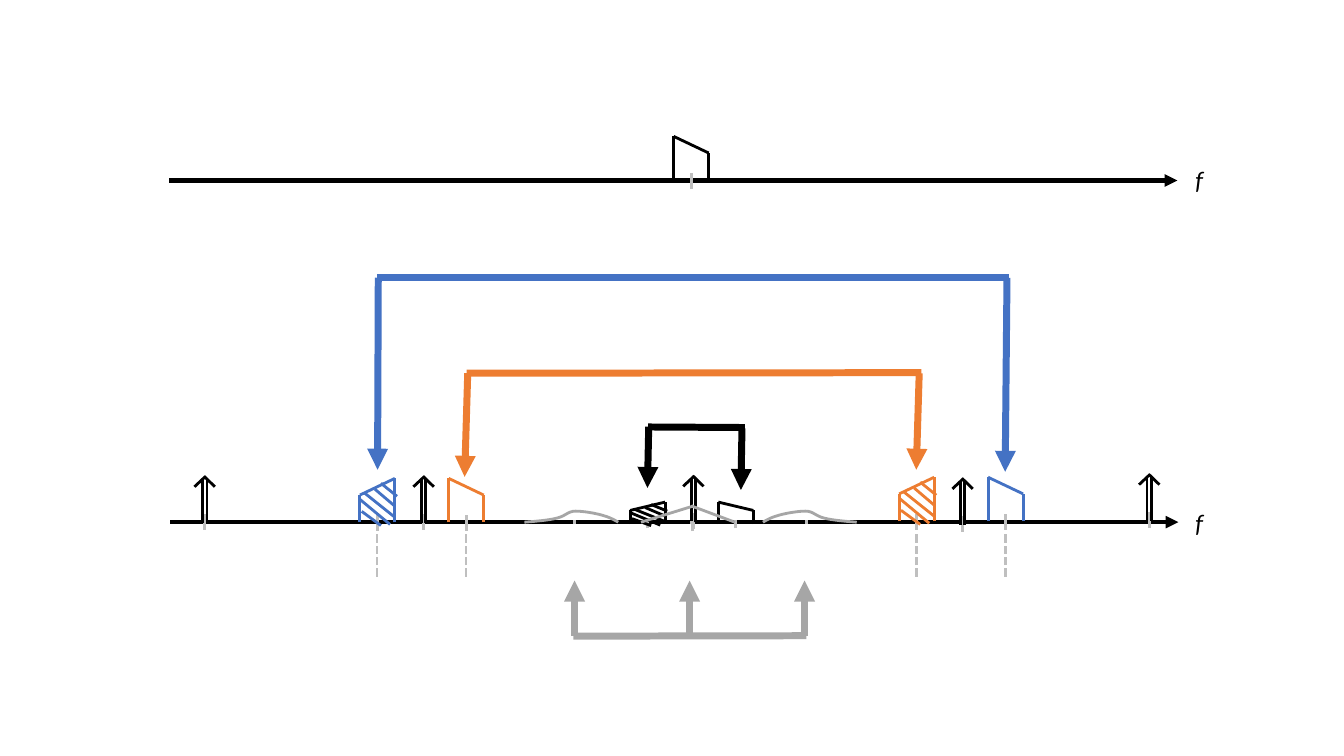
import itertools
from typing import NamedTuple

import lxml.etree
import pptx
import pptx.dml.color
import pptx.enum.dml
import pptx.enum.shapes
import pptx.oxml.ns
import pptx.util

Pt = pptx.util.Pt
RGBColor = pptx.dml.color.RGBColor
BLACK = RGBColor(0x00, 0x00, 0x00)
BLUE = RGBColor(0x44, 0x72, 0xC4)
ORANGE = RGBColor(0xED, 0x7D, 0x31)
GREY = RGBColor(0xA6, 0xA6, 0xA6)
LIGHT_GREY = RGBColor(0xBF, 0xBF, 0xBF)

Points = tuple[float, float, float, float]


class Axis(NamedTuple):
    left: float
    y: float
    label_top: float


class Carrier(NamedTuple):
    x: float
    base: float


class Band(NamedTuple):
    x: float
    base: float
    color: RGBColor
    scale: float = 1
    mirrored: bool = False


class Bracket(NamedTuple):
    color: RGBColor
    bar: Points
    arrows: list[Points]


class Hump(NamedTuple):
    start: float
    direction: int
    tick: float


AXIS_LENGTH = 720
BASE = 373
AXES = [Axis(121.7, BASE, 358.6), Axis(121, 128.9, 113.8)]
CARRIERS = [
    Carrier(146.2, 373.5),
    Carrier(302.6, 373.5),
    Carrier(495.3, 373.2),
    Carrier(687.6, 375),
    Carrier(820.9, 372),
]
CARRIER_STROKES = [
    (-1.6, 0, -1.6, -31.6),
    (1.6, 0, 1.6, -31.6),
    (-7.3, -25.8, 0.6, -33.2),
    (7.3, -25.8, -0.3, -33.2),
]
BANDS = [
    Band(493.7, 128.9, BLACK),
    Band(525.6, 374.4, BLACK, 0.5),
    Band(462.6, 374.4, BLACK, 0.5, True),
    Band(718.3, 372.4, BLUE),
    Band(654.8, 372.4, ORANGE, 1, True),
    Band(333, 373.2, ORANGE),
    Band(269.6, 373.2, BLUE, 1, True),
]
HALF_BAND = 12.5
BAND_STROKES = [
    (-HALF_BAND, 0, -HALF_BAND, -31.5),
    (HALF_BAND, 0, HALF_BAND, -19.6),
    (HALF_BAND, -19.6, -HALF_BAND, -31.5),
]
HATCHES = [
    (2.5, -28, 14, -18.7),
    (-1.8, -23.8, 12.6, -11.5),
    (-9, -20.9, 12.6, -3.6),
    (-12.6, -16.6, 9, 1.4),
    (-11.2, -7.9, 2.5, 2.2),
]
BRACKETS = [
    Bracket(ORANGE, (333.4, 266.6, 658.1, 266.2),
            [(334.1, 266.6, 331.9, 340.6), (656.6, 266.6, 654.5, 335.5)]),
    Bracket(BLUE, (269.3, 198.4, 720.7, 198.4),
            [(270.2, 198.4, 269.7, 335.5), (719.3, 198.4, 718, 337)]),
    Bracket(BLACK, (463, 305, 532.1, 305.4),
            [(463.4, 304.8, 462.5, 348.5), (530, 306, 529.2, 350)]),
    Bracket(GREY, (409.5, 454.4, 576, 454.1),
            [(x, 454.3, x, 414.7) for x in (410.4, 492.6, 574.7)]),
]
HUMPS = [Hump(545, 1, 576), Hump(441.6, -1, 410.4)]
HUMP_CURVES = [
    [(0, 0), (3.6, -2.2), (6.5, -3.6), (11.5, -5)],
    [(11.5, -5), (16.6, -6.5), (25.2, -7.9), (30.4, -7.9)],
    [(30.4, -7.9), (36, -7.9), (37.4, -4.4), (43.9, -2.9)],
    [(43.9, -2.9), (49.7, -1.4), (58.3, -0.7), (67, 0)],
]
CURVE_STEPS = 8
PEAK = [(457.9, BASE, 495.4, 361.4), (524.9, BASE, 493.9, 361.4)]

deck = pptx.Presentation()
deck.slide_width = Pt(960)
deck.slide_height = Pt(540)
page = deck.slides.add_slide(deck.slide_layouts[6])


def draw_line(ends: Points, color: RGBColor, width: float = 2,
              arrow: bool = False, dashed: bool = False) -> None:
    line = page.shapes.add_connector(
        pptx.enum.shapes.MSO_CONNECTOR.STRAIGHT, *(Pt(end) for end in ends))
    line.line.color.rgb = color
    line.line.width = Pt(width)
    if dashed:
        line.line.dash_style = pptx.enum.dml.MSO_LINE.SQUARE_DOT
    properties = line._element.spPr
    if arrow:
        outline = properties.find(pptx.oxml.ns.qn("a:ln"))
        lxml.etree.SubElement(outline, pptx.oxml.ns.qn("a:tailEnd"), type="triangle")
    lxml.etree.SubElement(properties, pptx.oxml.ns.qn("a:effectLst"))


def draw_strokes(strokes: list[Points], x: float, base: float, color: RGBColor,
                 x_scale: float = 1, y_scale: float = 1) -> None:
    for x1, y1, x2, y2 in strokes:
        draw_line((x + x1 * x_scale, base + y1 * y_scale,
                   x + x2 * x_scale, base + y2 * y_scale), color)


def draw_axis(axis: Axis) -> None:
    draw_line((axis.left, axis.y, axis.left + AXIS_LENGTH, axis.y), BLACK, 3, arrow=True)
    box = page.shapes.add_textbox(Pt(846.7), Pt(axis.label_top), Pt(20.2), Pt(28.8))
    box.text_frame.word_wrap = True
    para = box.text_frame.paragraphs[0]
    span = para.add_run()
    span.text = "f"
    span.font.name = "Calibri"
    span.font.size = Pt(18)
    span.font.italic = True
    span.font.color.rgb = BLACK


def draw_carrier(carrier: Carrier) -> None:
    draw_strokes([(0, 5, 0, -6.5)], *carrier, LIGHT_GREY)
    draw_strokes(CARRIER_STROKES, *carrier, BLACK)


def draw_band(band: Band) -> None:
    place = band.x, band.base
    draw_strokes([(0, 6, 0, -5.5)], *place, LIGHT_GREY, 1, band.scale)
    draw_strokes(BAND_STROKES, *place, band.color, -1 if band.mirrored else 1, band.scale)
    if band.mirrored:
        draw_strokes(HATCHES, *place, band.color, 1, band.scale)


def draw_bracket(bracket: Bracket) -> None:
    for arrow in bracket.arrows:
        draw_line(arrow, bracket.color, 5, arrow=True)
    draw_line(bracket.bar, bracket.color, 5)


def curve_point(curve: list[tuple[float, float]], t: float) -> tuple[float, float]:
    weights = ((1 - t) ** 3, 3 * t * (1 - t) ** 2, 3 * t * t * (1 - t), t ** 3)
    x, y = (sum(weight * point[i] for weight, point in zip(weights, curve)) for i in (0, 1))
    return x, y


def draw_hump(hump: Hump) -> None:
    draw_line((hump.tick, 374.4, hump.tick, 371.5), LIGHT_GREY)
    steps = itertools.product(HUMP_CURVES, range(1, CURVE_STEPS + 1))
    offsets = [curve_point(curve, step / CURVE_STEPS) for curve, step in steps]
    builder = page.shapes.build_freeform(Pt(hump.start), Pt(BASE))
    builder.add_line_segments(
        [(Pt(hump.start + hump.direction * x), Pt(BASE + y)) for x, y in offsets], close=False)
    outline = builder.convert_to_shape()
    outline.shadow.inherit = False
    outline.fill.background()
    outline.line.color.rgb = GREY
    outline.line.width = Pt(2)


for axis in AXES:
    draw_axis(axis)
draw_line((494.6, 379.4, 494.6, 367.9), LIGHT_GREY)
for band in BANDS:
    draw_band(band)
for carrier in CARRIERS:
    draw_carrier(carrier)
for bracket in BRACKETS:
    draw_bracket(bracket)
for x in (269.3, 332.9, 654.5, 718):
    draw_line((x, 411.8, x, 380.9), LIGHT_GREY, dashed=True)
for hump in HUMPS:
    draw_hump(hump)
for slope in PEAK:
    draw_line(slope, GREY)
draw_line((493.9, 374.4, 493.9, 372.2), LIGHT_GREY)

deck.save("out.pptx")
